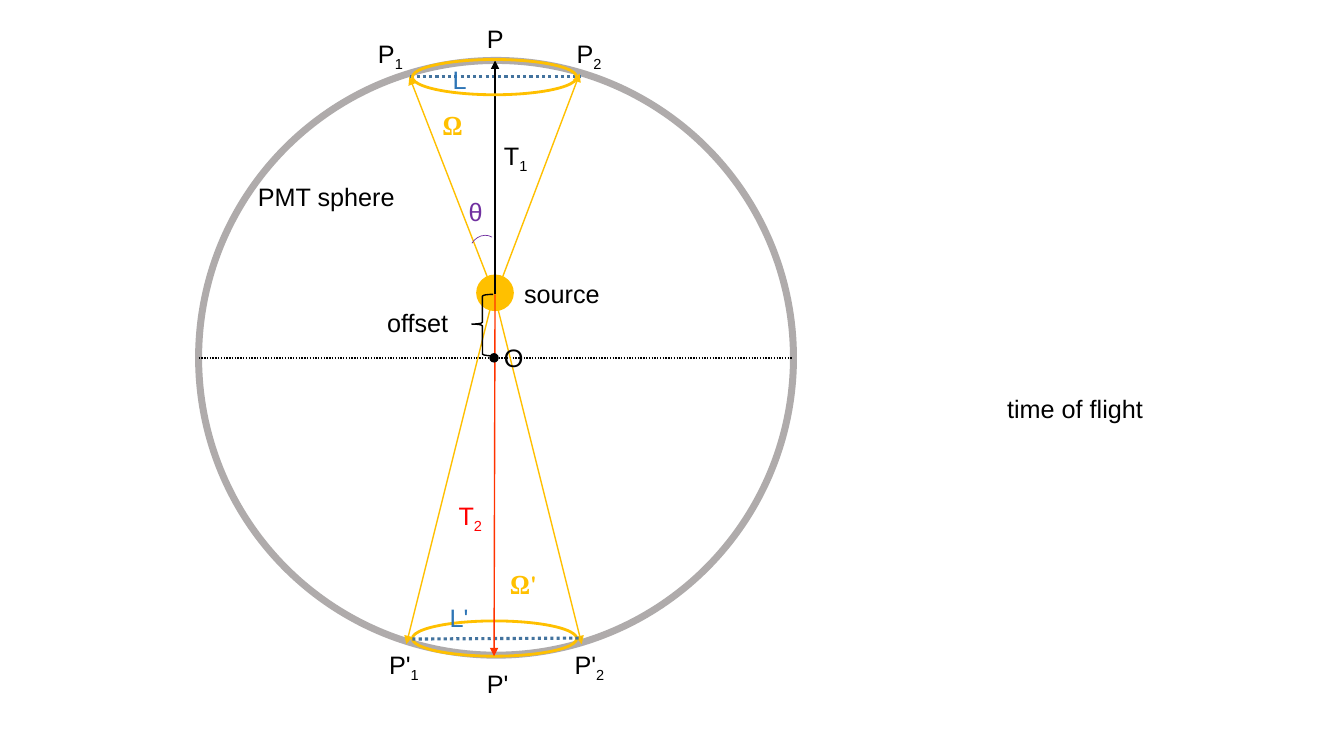
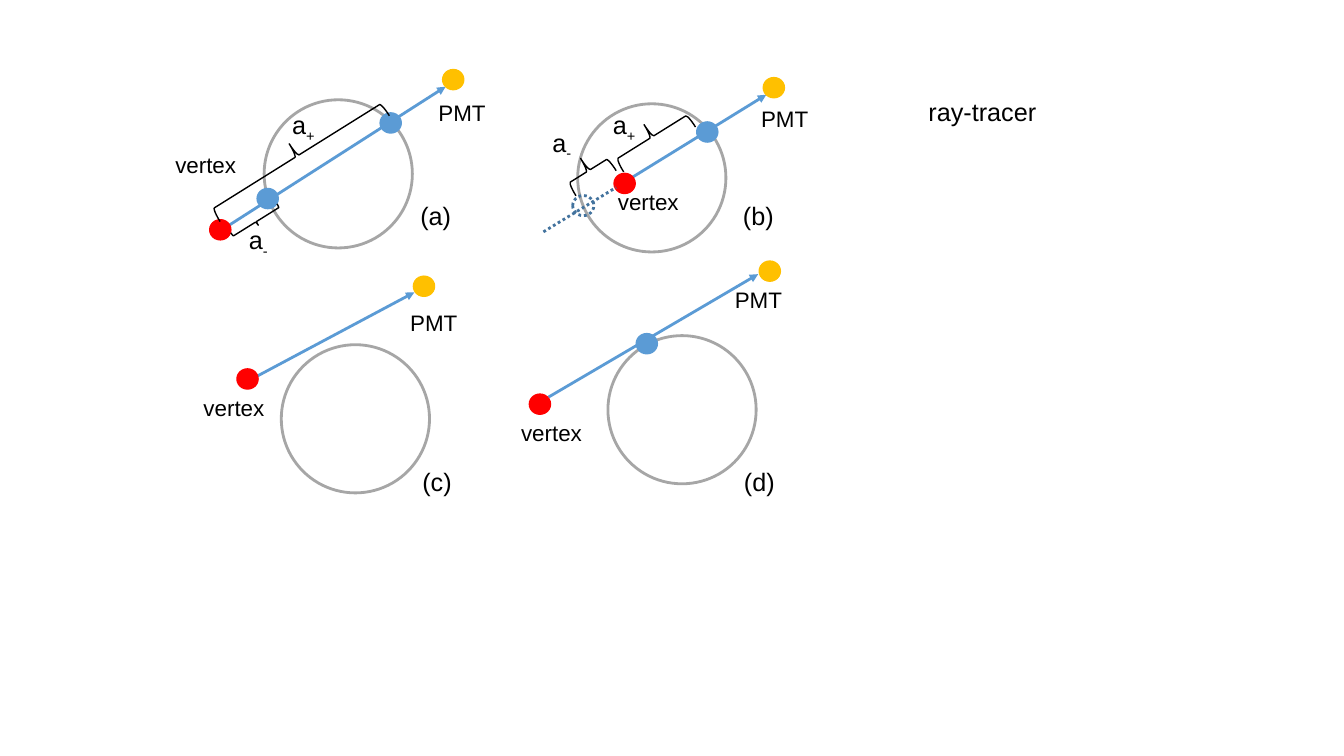
from dataclasses import dataclass

from pptx import Presentation
from pptx.dml.color import RGBColor
from pptx.enum.dml import MSO_LINE
from pptx.enum.shapes import MSO_CONNECTOR, MSO_SHAPE
from pptx.enum.text import MSO_AUTO_SIZE
from pptx.oxml.ns import qn
from pptx.slide import Slide
from pptx.util import Inches, Pt
from lxml import etree

OVAL = MSO_SHAPE.OVAL
ARC = MSO_SHAPE.ARC
BRACE = MSO_SHAPE.LEFT_BRACE
LINE = MSO_CONNECTOR.STRAIGHT
DOTS = MSO_LINE.ROUND_DOT
GROW = MSO_AUTO_SIZE.SHAPE_TO_FIT_TEXT

COLORS = {
    "black": "000000",
    "sphere": "AFABAB",
    "ring": "A6A6A6",
    "gold": "FFC000",
    "red": "FF0000",
    "flame": "FF3300",
    "blue": "5B9BD5",
    "steel": "43739E",
    "chord": "2E75B6",
    "purple": "7030A0",
}
Point = tuple[float, float]
DOT = (0.21, 0.2)
RING = 1.47


@dataclass
class Label:
    text: str
    x: float
    y: float
    width: float
    color: str = "black"
    size: int = 18
    wrap: bool = False
    font: str = "Arial"
    bold: bool = False


@dataclass
class Figure:
    x: float
    y: float
    width: float
    height: float
    line: str = "black"
    weight: float = 1
    fill: str = ""
    dotted: bool = False
    kind: MSO_SHAPE = OVAL
    turn: float = 0
    flip: str = ""
    bend: tuple[float, ...] = ()


@dataclass
class Ray:
    start: Point
    end: Point
    color: str
    weight: float = 1
    arrow: bool = True
    dotted: bool = False


@dataclass
class Panel:
    ring: Point
    ray: Ray
    vertex: Point
    target: Point
    hits: list[Point]
    names: list[Label]


Item = Label | Figure | Ray


def paint(name: str) -> RGBColor:
    return RGBColor.from_string(COLORS[name])


def write(slide: Slide, item: Label) -> None:
    height = 0.4 if item.size == 18 else 0.37
    box = slide.shapes.add_textbox(
        Inches(item.x), Inches(item.y), Inches(item.width), Inches(height))
    frame = box.text_frame
    frame.word_wrap = item.wrap
    frame.auto_size = GROW
    for level, part in enumerate(item.text.split("_")):
        run = frame.paragraphs[0].add_run()
        run.text = part
        run.font.name = item.font
        run.font.size = Pt(item.size)
        run.font.bold = item.bold
        run.font.color.rgb = paint(item.color)
        if level:
            run.font._element.set("baseline", "-25000")


def shape(slide: Slide, item: Figure) -> None:
    form = slide.shapes.add_shape(
        item.kind, Inches(item.x), Inches(item.y),
        Inches(item.width), Inches(item.height))
    form.shadow.inherit = False
    form.rotation = item.turn
    if item.fill:
        form.fill.solid()
        form.fill.fore_color.rgb = paint(item.fill)
    else:
        form.fill.background()
    form.line.color.rgb = paint(item.line)
    form.line.width = Pt(item.weight)
    if item.dotted:
        form.line.dash_style = DOTS
    for index, value in enumerate(item.bend):
        form.adjustments[index] = value
    if item.flip:
        form._element.spPr.find(qn("a:xfrm")).set(item.flip, "1")


def trace(slide: Slide, item: Ray) -> None:
    ends = [Inches(value) for value in (*item.start, *item.end)]
    link = slide.shapes.add_connector(LINE, *ends)
    link.line.color.rgb = paint(item.color)
    link.line.width = Pt(item.weight)
    if item.dotted:
        link.line.dash_style = DOTS
    props = link._element.spPr
    if item.arrow:
        etree.SubElement(props.find(qn("a:ln")), qn("a:tailEnd"), type="triangle")
    etree.SubElement(props, qn("a:effectLst"))


def draw(slide: Slide, items: list[Item]) -> None:
    tools = {Label: write, Figure: shape, Ray: trace}
    for item in items:
        tools[type(item)](slide, item)


def dot(place: Point, color: str) -> Figure:
    return Figure(*place, *DOT, color, fill=color)


def brace(x: float, y: float, width: float, height: float, flip: str = "") -> Figure:
    return Figure(x, y, width, height, kind=BRACE, turn=58, flip=flip)


def vertex(x: float, y: float) -> Label:
    return Label("vertex", x, y, 1.07, size=16, wrap=True)


def target(x: float, y: float) -> Label:
    return Label("PMT", x, y, 0.7, size=16, wrap=True)


def sphere() -> list[Item]:
    core = (4.91, 2.92)
    low = (4.9, 2.91)
    return [
        Label("P", 4.73, 0.18, 0.35),
        Figure(1.97, 0.6, 5.9, 5.9, "sphere", 5),
        Ray((1.97, 3.55), (7.86, 3.55), "black", arrow=False, dotted=True),
        Ray((4.9, 2.92), (4.06, 0.76), "gold"),
        Ray((4.92, 2.92), (5.75, 0.73), "gold"),
        Figure(4.73, 2.73, 0.36, 0.35, "gold", fill="gold"),
        Ray(low, (5.77, 6.39), "gold"),
        Ray(low, (4.03, 6.39), "gold"),
        Ray((4.07, 0.76), (5.75, 0.76), "steel", 2.25, False, True),
        Figure(4.09, 6.16, 1.63, 0.35, "gold", 2),
        Ray((4.09, 6.34), (5.77, 6.33), "steel", 2.25, False, True),
        Ray(core, (4.91, 0.6), "black"),
        Ray(core, (4.9, 6.51), "flame"),
        Label("T_1", 4.9, 1.34, 0.46),
        Label("T_2", 4.45, 4.91, 0.46, "red"),
        Label("O", 4.9, 3.35, 0.4, wrap=True),
        Label("source", 5.1, 2.71, 1.03),
        Figure(4.09, 0.59, 1.63, 0.35, "gold", 2),
        Label("P_1", 3.65, 0.33, 0.45),
        Label("P_2", 5.62, 0.33, 0.45),
        Label("P'", 4.73, 6.58, 0.42),
        Label("P'_1", 3.76, 6.39, 0.52),
        Label("P'_2", 5.6, 6.39, 0.52),
        Label("L", 4.39, 0.59, 0.34, "chord"),
        Label("L'", 4.36, 5.93, 0.41, "chord"),
        Label("Ω", 4.29, 1.05, 0.39, "gold", font="Cambria", bold=True),
        Label("Ω'", 4.96, 5.6, 0.47, "gold", font="Cambria", bold=True),
        Label("θ", 4.55, 1.9, 0.35, "purple", wrap=True),
        Figure(4.66, 2.33, 0.28, 0.31, "purple", 0.5,
               kind=ARC, turn=211, flip="flipV"),
        Figure(4.68, 2.92, 0.21, 0.61, kind=BRACE, bend=(0.083, 0.484)),
        Label("offset", 3.74, 3, 0.91),
        Label("PMT sphere", 2.46, 1.75, 1.56),
        Figure(4.86, 3.51, 0.08, 0.08, fill="black"),
        Label("time of flight", 9.89, 3.85, 1.81),
    ]


PANELS = [
    Panel((2.79, 3.42), Ray((2.46, 3.78), (4.11, 2.9), "blue", 2),
          (2.35, 3.66), (4.1, 2.74), [],
          [target(3.97, 3.02), vertex(1.92, 3.86), Label("(c)", 4.09, 4.58, 0.49)]),
    Panel((6.03, 3.33), Ray((5.44, 3.94), (7.52, 2.72), "blue", 2),
          (5.25, 3.91), (7.53, 2.59), [(6.31, 3.31)],
          [target(7.19, 2.79), vertex(5.07, 4.11), Label("(d)", 7.28, 4.58, 0.51)]),
    Panel((2.62, 0.99), Ray((2.17, 2.3), (4.42, 0.86), "blue", 2),
          (2.08, 2.18), (4.39, 0.69), [(3.77, 1.12), (2.55, 1.87)],
          [target(4.25, 0.93), vertex(1.64, 1.45), Label("(a)", 4.07, 1.94, 0.51),
           Label("a_+", 2.8, 1.04, 0.56, wrap=True), Label("a_-", 2.37, 2.18, 0.39)]),
    Panel((5.73, 1.03), Ray((6.27, 1.76), (7.6, 0.94), "blue", 2),
          (6.09, 1.72), (7.57, 0.77), [(6.91, 1.21)],
          [target(7.45, 0.99), vertex(6.03, 1.82), Label("(b)", 7.27, 1.94, 0.51),
           Label("a_+", 5.98, 1.04, 0.43), Label("a_-", 5.38, 1.21, 0.43, wrap=True)]),
]


def tracer() -> list[Item]:
    items: list[Item] = [Label("ray-tracer", 9.11, 0.91, 1.98, wrap=True)]
    for panel in PANELS:
        items += [
            Figure(*panel.ring, RING, RING, "ring", 2),
            panel.ray,
            dot(panel.vertex, "red"),
            dot(panel.target, "gold"),
            *(dot(hit, "blue") for hit in panel.hits),
            *panel.names,
        ]
    return items + [
        brace(2.8, 0.56, 0.29, 1.98),
        brace(2.5, 1.93, 0.08, 0.54, "flipH"),
        Ray((5.39, 2.3), (6.11, 1.86), "steel", 2, False, True),
        Figure(5.68, 1.94, *DOT, "steel", 2, dotted=True),
        brace(6.32, 0.94, 0.29, 0.84),
        brace(5.69, 1.46, 0.29, 0.47),
    ]


def main() -> None:
    deck = Presentation()
    deck.slide_width = Inches(13.33)
    deck.slide_height = Inches(7.5)
    blank = deck.slide_layouts[6]
    for items in (sphere(), tracer()):
        draw(deck.slides.add_slide(blank), items)
    deck.save("out.pptx")


if __name__ == "__main__":
    main()
